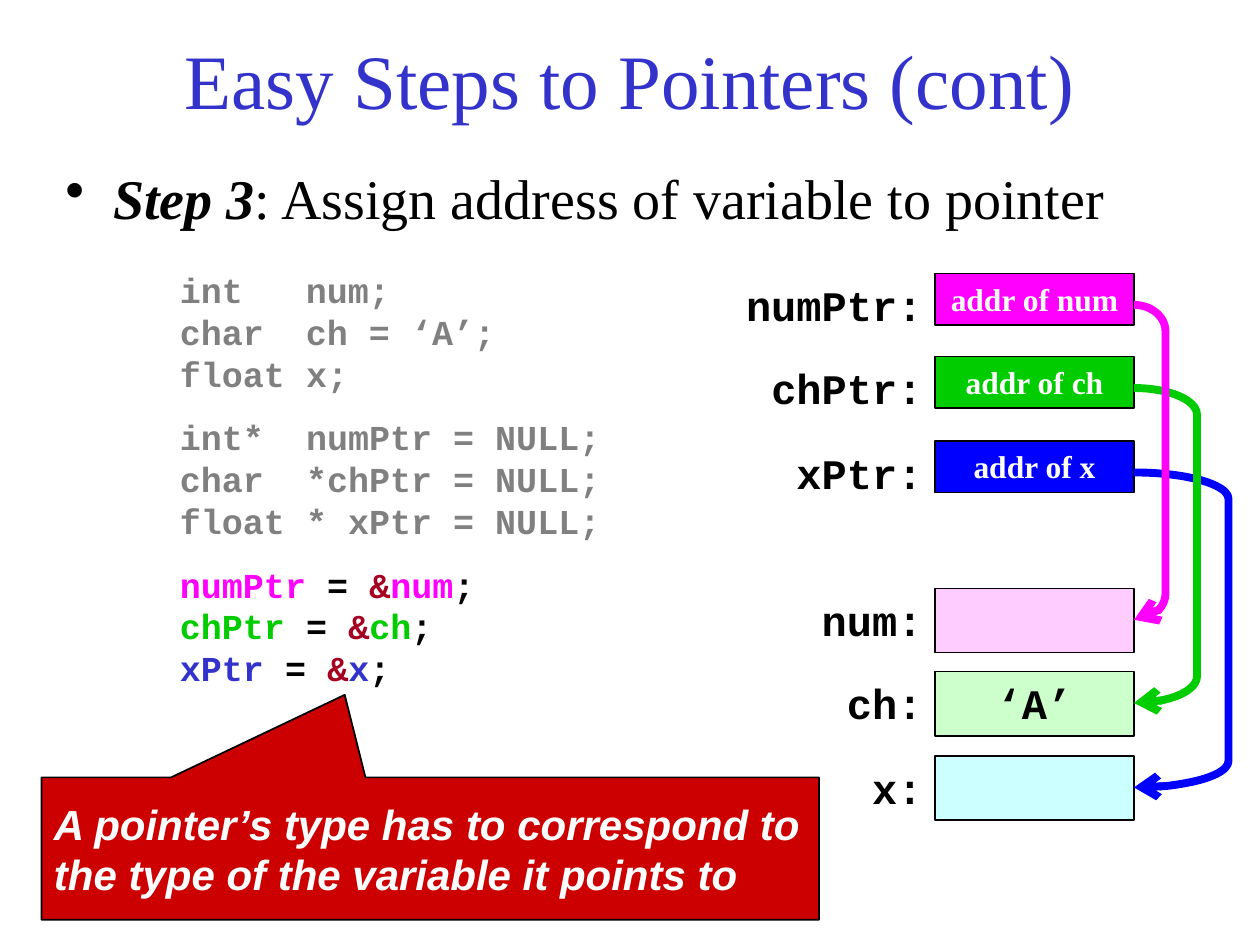
"""Build a slide on assigning the address of a variable to a pointer."""
import pptx
import pptx.chart.data
import pptx.dml.color
import pptx.enum.shapes
import pptx.enum.text
import pptx.oxml
import pptx.oxml.ns
import pptx.util
import lxml.etree

Inches = pptx.util.Inches
Pt = pptx.util.Pt
KIND = pptx.enum.shapes.MSO_SHAPE
SIDE = pptx.enum.text.PP_ALIGN
EDGE = pptx.enum.text.MSO_ANCHOR
qn = pptx.oxml.ns.qn

TITLE = {"name": "Times New Roman", "size": Pt(44), "bold": False}
BODY = {"name": "Times New Roman", "size": Pt(32), "bold": False}
CODE = {"name": "Courier New", "size": Pt(20), "bold": True}
LABEL = {"name": "Courier New", "size": Pt(24), "bold": True}
ADDR = {"name": "Times New Roman", "size": Pt(18), "bold": True}
NOTE = {"name": "Arial", "size": Pt(24), "bold": True, "italic": True}


def color(code):
    """Turn a hex string into a color."""
    return pptx.dml.color.RGBColor.from_string(code)


def box(at, lines, style, fill=None, edge=None, side=SIDE.LEFT,
        anchor=EDGE.TOP, kind=KIND.RECTANGLE):
    """Add a box whose lines are lists of (text, color) runs."""
    place = [Inches(v) for v in at]
    if fill:
        shape = slide.shapes.add_shape(kind, *place)
        shape.shadow.inherit = False
        shape.fill.solid()
        shape.fill.fore_color.rgb = color(fill)
        if edge:
            shape.line.color.rgb = color(edge)
            shape.line.width = Pt(1)
        else:
            shape.line.fill.background()
    else:
        shape = slide.shapes.add_textbox(*place)
    frame = shape.text_frame
    frame.word_wrap = True
    frame.vertical_anchor = anchor
    for i, line in enumerate(lines):
        para = frame.paragraphs[0] if i == 0 else frame.add_paragraph()
        para.alignment = side
        for text, tint in line:
            run = para.add_run()
            run.text = text
            run.font.color.rgb = color(tint)
            for key, value in style.items():
                setattr(run.font, key, value)
    return shape


deck = pptx.Presentation()
deck.slide_width, deck.slide_height = Inches(10), Inches(7.5)
slide = deck.slides.add_slide(deck.slide_layouts[6])

box((0.75, 0, 8.5, 1.25), [[("Easy Steps to Pointers (cont)", "3333CC")]],
    TITLE, side=SIDE.CENTER, anchor=EDGE.MIDDLE)

step = box((0.42, 1.25, 9.08, 0.67), [[
    ("Step 3", "000000"),
    (": Assign address of variable to pointer", "000000")]], BODY)
para = step.text_frame.paragraphs[0]
for key in ("bold", "italic"):
    setattr(para.runs[0].font, key, True)
props = para._p.get_or_add_pPr()
props.set("marL", str(Inches(0.38)))
props.set("indent", str(-Inches(0.38)))
lxml.etree.SubElement(props, qn("a:buChar")).set("char", "•")

blocks = [
    (3.25, ["int*  numPtr = NULL;", "char  *chPtr = NULL;",
            "float * xPtr = NULL;"]),
    (2.08, ["int\tnum;", "char\tch = ‘A’;", "float x;"]),
]
for top, lines in blocks:
    code = box((1.33, top, 7.67, 1.1), [[(t, "808080")] for t in lines],
               CODE, "FFFFFF")
    for para in code.text_frame.paragraphs:
        if "\t" in para.text:
            tabs = lxml.etree.SubElement(para._p.get_or_add_pPr(),
                                         qn("a:tabLst"))
            stop = lxml.etree.SubElement(tabs, qn("a:tab"))
            stop.set("pos", str(Inches(1)))
            stop.set("algn", "l")

rows = [
    (2.17, 1.67, "numPtr:", 0.41, "FF00FF", "addr of num", "FFFFFF", ADDR),
    (2.83, 1.5, "chPtr:", 0.41, "00CC00", "addr of ch", "FFFFFF", ADDR),
    (3.5, 1.33, "xPtr:", 0.41, "0000FF", "addr of x", "FFFFFF", ADDR),
    (4.67, 1.08, "num:", 0.51, "FFCCFF", "", "000000", LABEL),
    (5.33, 1.08, "ch:", 0.51, "CCFFCC", "‘A’", "000000", LABEL),
    (6, 1.08, "x:", 0.51, "CCFFFF", "", "000000", LABEL),
]
for top, wide, name, high, fill, text, tint, style in rows:
    box((7.42 - wide, top, wide, 0.5), [[(name, "000000")]], LABEL,
        "FFFFFF", side=SIDE.RIGHT)
    box((7.42, top, 1.58, high), [[(text, tint)]] if text else [], style,
        fill, "000000", SIDE.CENTER)

hooks = [(3.75, 0.75, "0000FF"), (3.08, 0.5, "00CC00"),
         (2.42, 0.25, "FF00FF")]
for top, wide, tint in hooks:
    hook = slide.shapes.add_shape(KIND.RIGHT_BRACKET, Inches(9), Inches(top),
                                  Inches(wide), Inches(2.5))
    hook.shadow.inherit = False
    hook.adjustments[0] = 0.21 / wide
    hook.fill.background()
    hook.line.color.rgb = color(tint)
    hook.line.width = Pt(4.5)
    tip = lxml.etree.SubElement(hook.line._get_or_add_ln(), qn("a:tailEnd"))
    tip.set("type", "arrow")

sets = [(4.42, "numPtr", "num", "FF00FF"), (4.75, "chPtr", "ch", "00CC00"),
        (5.08, "xPtr", "x", "3333CC")]
for top, left, right, tint in sets:
    box((1.33, top, 2.67, 0.43), [[
        (left, tint), (" = ", "000000"), ("&", "A50021"), (right, tint),
        (";", "000000")]], CODE)

note = box((0.33, 6.17, 6.17, 1.13), [[
    ("A pointer’s type has to correspond to the type of the variable "
     "it points to", "FFFFFF")]], NOTE, "CC0000", "000000",
    anchor=EDGE.MIDDLE, kind=KIND.RECTANGULAR_CALLOUT)
note.adjustments[0], note.adjustments[1] = -0.11, -1.08

deck.save("out.pptx")
